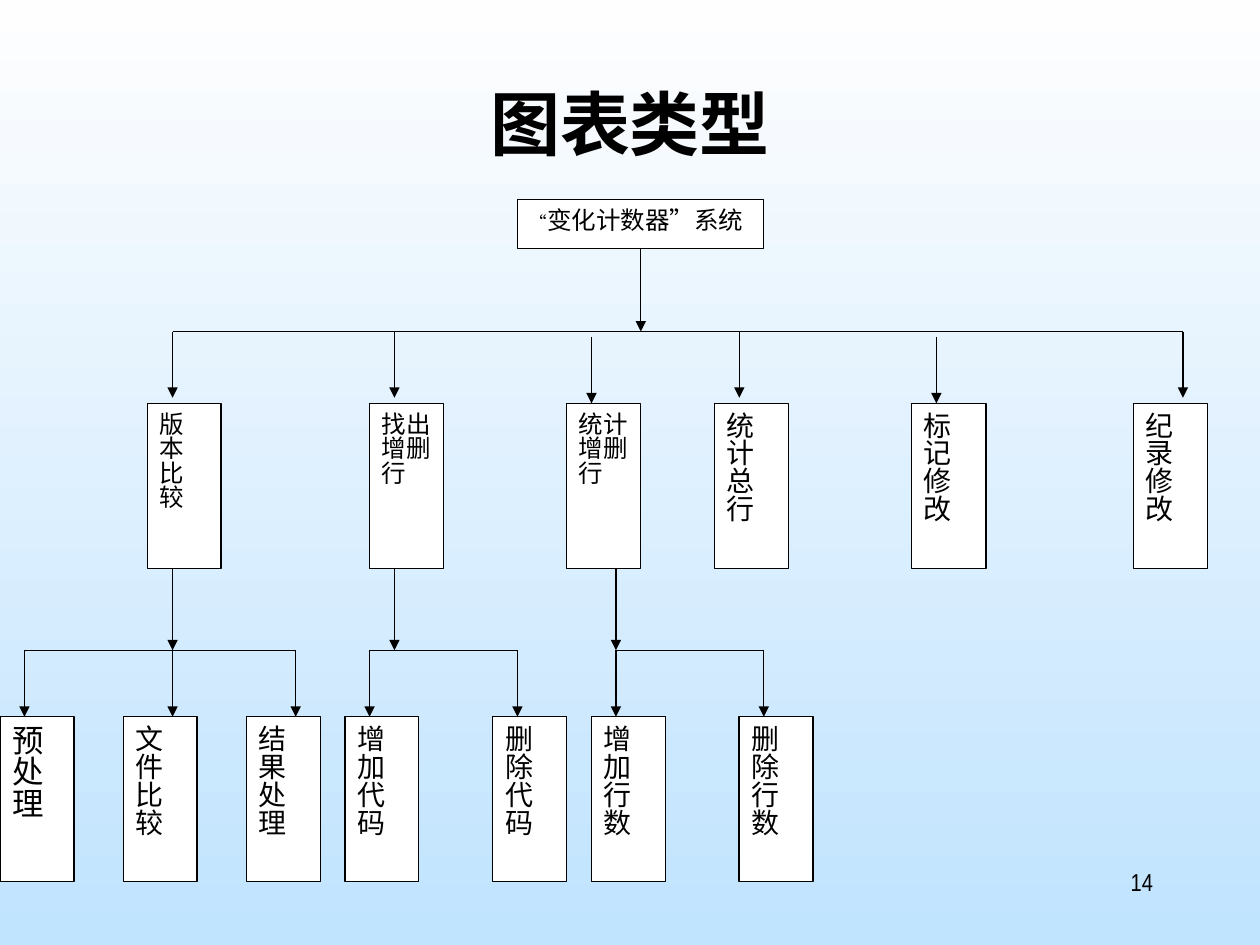
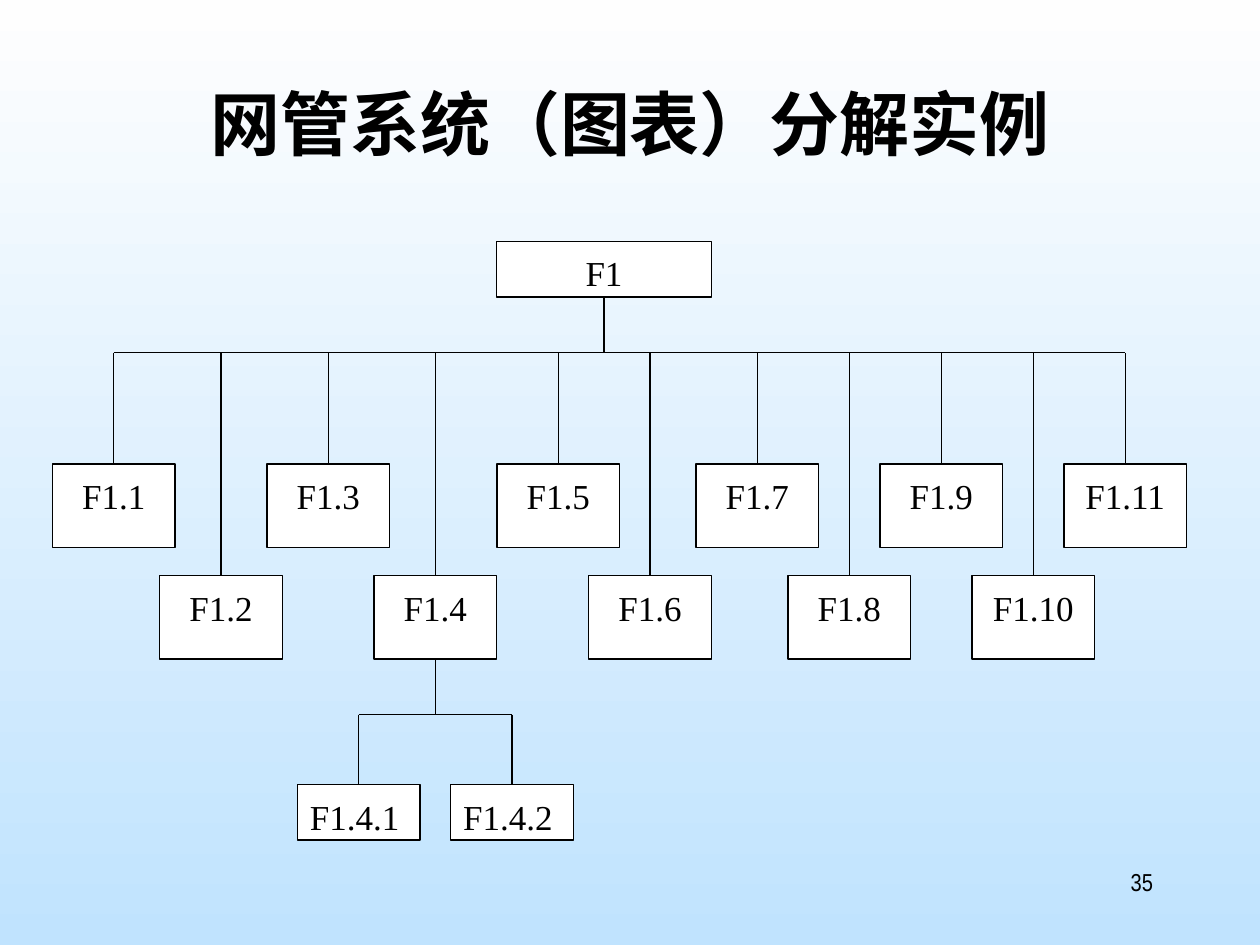
from lxml import etree
from pptx import Presentation
from pptx.dml.color import RGBColor
from pptx.enum.shapes import MSO_CONNECTOR, MSO_SHAPE
from pptx.enum.text import MSO_ANCHOR, PP_ALIGN
from pptx.oxml.ns import qn
from pptx.util import Pt

BLACK = RGBColor(0x00, 0x00, 0x00)
WHITE = RGBColor(0xFF, 0xFF, 0xFF)
SKY_TOP = RGBColor(0xFE, 0xFE, 0xFE)
SKY_BOTTOM = RGBColor(0xC0, 0xE3, 0xFE)
TITLE_FONT = "Noto Sans CJK SC"
BOX_FONT = "Times New Roman"
NUMBER_FONT = "Arial Narrow"
RECTANGLE = MSO_SHAPE.RECTANGLE
STRAIGHT = MSO_CONNECTOR.STRAIGHT
TOP = MSO_ANCHOR.TOP
CENTER, JUSTIFY, RIGHT = PP_ALIGN.CENTER, PP_ALIGN.JUSTIFY, PP_ALIGN.RIGHT


def add_box(slide, left, top, width, height, text, size, align=CENTER, spacing=1.0):
    """Add a white outlined box; each line of text becomes a paragraph."""
    box = slide.shapes.add_shape(RECTANGLE, Pt(left), Pt(top), Pt(width), Pt(height))
    box.shadow.inherit = False
    box.fill.solid()
    box.fill.fore_color.rgb = WHITE
    box.line.color.rgb = BLACK
    box.line.width = Pt(0.75)
    frame = box.text_frame
    frame.word_wrap = True
    frame.vertical_anchor = TOP
    frame.margin_top = Pt(6)
    frame.text = text
    for paragraph in frame.paragraphs:
        paragraph.alignment = align
        paragraph.line_spacing = spacing
        font = paragraph.font
        font.name = BOX_FONT
        font.size = Pt(size)
        font.color.rgb = BLACK
        east_asian = etree.SubElement(font._element, qn("a:ea"))
        east_asian.set("typeface", TITLE_FONT)
    return box


def add_line(slide, x1, y1, x2, y2, arrow=False):
    line = slide.shapes.add_connector(STRAIGHT, Pt(x1), Pt(y1), Pt(x2), Pt(y2))
    line.line.color.rgb = BLACK
    line.line.width = Pt(0.75)
    if arrow:
        etree.SubElement(line.line._get_or_add_ln(), qn("a:tailEnd")).set("type", "triangle")
    etree.SubElement(line._element.spPr, qn("a:effectLst"))


presentation = Presentation()
presentation.slide_width = Pt(720)
presentation.slide_height = Pt(540)

# Shared background
background = presentation.slide_master.background.fill
background.gradient()
background.gradient_angle = 270
for stop, color, position in zip(background.gradient_stops, (SKY_TOP, SKY_BOTTOM), (0, 1)):
    stop.color.rgb = color
    stop.position = position

# Shared title and page number
slides = []
for title_text, page in (("图表类型", "14"), ("网管系统（图表）分解实例", "35")):
    slide = presentation.slides.add_slide(presentation.slide_layouts[5])
    title = slide.shapes.title
    title.left, title.top, title.width, title.height = Pt(54), Pt(48), Pt(612), Pt(90)
    title.text_frame.text = title_text
    title.text_frame.vertical_anchor = TOP
    paragraph = title.text_frame.paragraphs[0]
    paragraph.alignment = CENTER
    paragraph.line_spacing = 0.9
    paragraph.font.name = TITLE_FONT
    paragraph.font.size = Pt(40)
    paragraph.font.bold = True
    paragraph.font.color.rgb = BLACK
    etree.SubElement(paragraph.font._element, qn("a:ea")).set("typeface", TITLE_FONT)

    number = slide.shapes.add_textbox(Pt(516), Pt(492), Pt(150), Pt(36))
    number.text_frame.word_wrap = True
    number.text_frame.text = page
    paragraph = number.text_frame.paragraphs[0]
    paragraph.alignment = RIGHT
    paragraph.font.name = NUMBER_FONT
    paragraph.font.size = Pt(14)
    paragraph.font.color.rgb = BLACK
    slides.append(slide)
counter_slide, network_slide = slides

# Slide 1: change counter system
CJK_SPACING = 0.83
MODULE_BUS, MODULE_TOP = 189.5, 230.4
PART_BUS, PART_TOP = 371.6, 409.6
BOX_HEIGHT = 94.3

root = add_box(counter_slide, 295.6, 113.8, 140.8, 28.2, "", 14, JUSTIFY, CJK_SPACING)
paragraph = root.text_frame.paragraphs[0]
opening_quote = paragraph.add_run()
opening_quote.text = "“"
opening_quote.font.size = Pt(10)
paragraph.add_run().text = "变化计数器”系统"

add_line(counter_slide, 366.2, 142, 366.2, MODULE_BUS, arrow=True)
add_line(counter_slide, 98.6, MODULE_BUS, 676, MODULE_BUS)

# left, width, text, text size, arrow x, arrow offset below the bus
modules = [
    (84.3, 42, "版本\n比较", 14, 98.6, 0),
    (211, 42.5, "找出\n增删行", 14, 225.4, 0),
    (323.7, 42.5, "统计\n增删行", 14, 338, 3.2),
    (408.2, 42.5, "统计总行", 16, 422.5, 0),
    (520.9, 42.5, "标记修改", 16, 535.1, 3.2),
    (647.6, 42.5, "纪录\n修改", 16, 676, 0),
]
for left, width, text, size, arrow_x, offset in modules:
    add_box(counter_slide, left, MODULE_TOP, width, BOX_HEIGHT, text, size, JUSTIFY, CJK_SPACING)
    start = MODULE_BUS + offset
    add_line(counter_slide, arrow_x, start, arrow_x, start + 37.8, arrow=True)

# stem x, then left, text, text size and arrow x of each part
part_groups = [
    (98.6, [(0, "预处理", 18, 14), (70.4, "文件比较", 16, 98.6), (140.8, "结果处理", 16, 169)]),
    (225.4, [(197.1, "增加\n代码", 16, 211.2), (281.6, "删除代码", 16, 295.7)]),
    (352, [(337.9, "增加\n行数", 16, 352), (422.4, "删除\n行数", 16, 436.5)]),
]
for stem_x, parts in part_groups:
    add_line(counter_slide, stem_x, MODULE_TOP + BOX_HEIGHT, stem_x, PART_BUS, arrow=True)
    add_line(counter_slide, parts[0][-1], PART_BUS, parts[-1][-1], PART_BUS)
    for left, text, size, arrow_x in parts:
        add_box(counter_slide, left, PART_TOP, 42.3, BOX_HEIGHT, text, size, JUSTIFY, CJK_SPACING)
        add_line(counter_slide, arrow_x, PART_BUS, arrow_x, PART_TOP, arrow=True)

# Slide 2: network management decomposition
FUNCTION_BUS, DETAIL_BUS, DETAIL_TOP = 201.6, 408.4, 448.3
FUNCTION_WIDTH, FUNCTION_HEIGHT = 70.1, 47.7
UPPER_TOP, LOWER_TOP = 265.2, 328.9
function_centers = [65, 126.3, 187.6, 248.8, 319, 371.5, 432.8, 485.3, 537.9, 590.4, 643]

add_box(network_slide, 283.8, 137.9, 122.7, 31.8, "F1", 20)
add_line(network_slide, 345.2, 169.7, 345.2, FUNCTION_BUS)
add_line(network_slide, function_centers[0], FUNCTION_BUS, function_centers[-1], FUNCTION_BUS)
for index, center in enumerate(function_centers, start=1):
    top = UPPER_TOP if index % 2 else LOWER_TOP
    add_box(network_slide, center - FUNCTION_WIDTH / 2, top, FUNCTION_WIDTH, FUNCTION_HEIGHT,
            f"F1.{index}", 20)
    add_line(network_slide, center, FUNCTION_BUS, center, top)

parent_x = function_centers[3]
detail_centers = [205, 292.6]
add_line(network_slide, parent_x, LOWER_TOP + FUNCTION_HEIGHT, parent_x, DETAIL_BUS)
add_line(network_slide, detail_centers[0], DETAIL_BUS, detail_centers[1], DETAIL_BUS)
for index, center in enumerate(detail_centers, start=1):
    add_box(network_slide, center - FUNCTION_WIDTH / 2, DETAIL_TOP, FUNCTION_WIDTH, 31.8,
            f"F1.4.{index}", 20, JUSTIFY)
    add_line(network_slide, center, DETAIL_BUS, center, DETAIL_TOP)

presentation.save("out.pptx")
